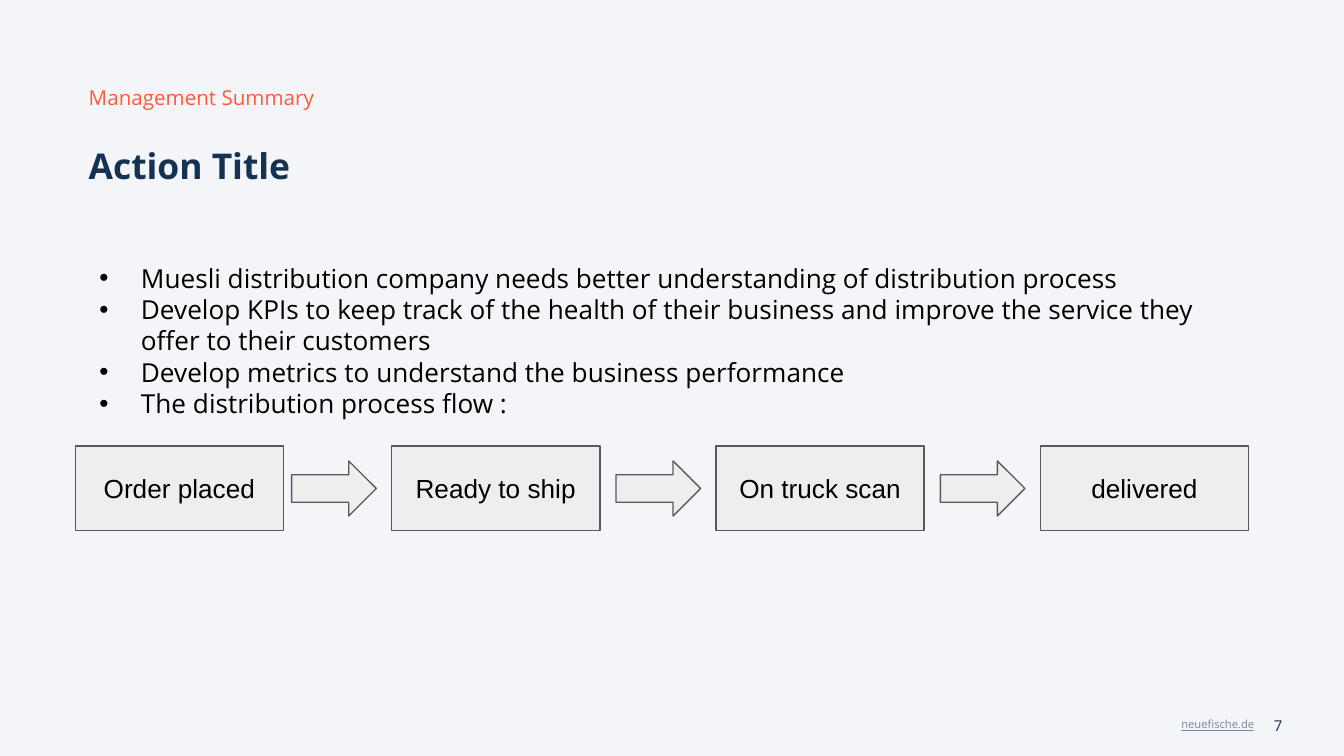
from lxml import etree
from pptx import Presentation
from pptx.dml.color import RGBColor
from pptx.enum.shapes import MSO_SHAPE
from pptx.enum.text import MSO_ANCHOR, PP_ALIGN
from pptx.oxml.ns import qn
from pptx.util import Inches, Pt

RECTANGLE, ARROW = MSO_SHAPE.RECTANGLE, MSO_SHAPE.RIGHT_ARROW
TOP, MIDDLE = MSO_ANCHOR.TOP, MSO_ANCHOR.MIDDLE
LEFT, CENTER = PP_ALIGN.LEFT, PP_ALIGN.CENTER

BACKGROUND = RGBColor(0xF3, 0xF5, 0xF9)
NAVY = RGBColor(0x16, 0x32, 0x51)
ORANGE = RGBColor(0xFF, 0x5A, 0x36)
SLATE = RGBColor(0x75, 0x89, 0xA2)
BLACK = RGBColor(0, 0, 0)
STEP_FILL = RGBColor(0xEE, 0xEE, 0xEE)
STEP_LINE = RGBColor(0x59, 0x59, 0x59)

SECTION = "Management Summary"
TITLE = "Action Title"
POINTS = [
    "Muesli distribution company needs better understanding of distribution process",
    "Develop KPIs to keep track of the health of their business and improve the service "
    "they offer to their customers",
    "Develop metrics to understand the business performance",
    "The distribution process flow :",
]
STEPS = ["Order placed", "Ready to ship", "On truck scan", "delivered"]
WEB_ADDRESS = "neuefische.de"
PAGE_NUMBER = "7"

SLIDE_WIDTH = 10
SLIDE_HEIGHT = SLIDE_WIDTH * 9 / 16
MARGIN = 0.64
BULLET_INDENT = 0.31
FLOW_LEFT, LAST_STEP_LEFT, FLOW_TOP = 0.5, 7.74, 3.32
FLOW_PITCH = (LAST_STEP_LEFT - FLOW_LEFT) / (len(STEPS) - 1)
FIRST_STEP_SHIFT = 0.06
STEP_WIDTH, STEP_HEIGHT = 1.55, 0.63
ARROW_OFFSET, ARROW_WIDTH, ARROW_HEIGHT = 1.67, 0.63, 0.41


def set_text(shape, lines, size, color, font="Open Sans", align=LEFT, anchor=TOP,
             insets=(0.02, 0.02), bold=False, underline=False, bullets=False):
    frame = shape.text_frame
    frame.word_wrap = True
    frame.vertical_anchor = anchor
    frame.margin_left = frame.margin_right = Inches(insets[0])
    frame.margin_top = frame.margin_bottom = Inches(insets[1])
    frame.text = "\n".join(lines)
    for para in frame.paragraphs:
        para.alignment = align
        if bullets:
            add_bullet(para)
        for span in para.runs:
            span.font.name = font
            span.font.size = Pt(size)
            span.font.color.rgb = color
            span.font.bold = bold
            span.font.underline = underline


def add_bullet(para):
    properties = para._p.get_or_add_pPr()
    properties.set("marL", str(Inches(BULLET_INDENT)))
    properties.set("indent", str(-Inches(BULLET_INDENT)))
    color = etree.SubElement(properties, qn("a:buClr"))
    etree.SubElement(color, qn("a:srgbClr"), val=str(BLACK))
    etree.SubElement(properties, qn("a:buFont"), typeface="Arial")
    etree.SubElement(properties, qn("a:buChar"), char="•")


def add_text(slide, area, lines, size, color, **style):
    box = slide.shapes.add_textbox(*map(Inches, area))
    set_text(box, lines, size, color, **style)


def add_flow_shape(slide, kind, *area):
    shape = slide.shapes.add_shape(kind, *map(Inches, area))
    shape.shadow.inherit = False
    shape.fill.solid()
    shape.fill.fore_color.rgb = STEP_FILL
    shape.line.color.rgb = STEP_LINE
    shape.line.width = Pt(0.75)
    return shape


def add_flow(slide):
    for index, step in enumerate(STEPS):
        left = FLOW_LEFT + index * FLOW_PITCH
        shift = FIRST_STEP_SHIFT if index == 0 else 0
        box = add_flow_shape(slide, RECTANGLE, left + shift, FLOW_TOP,
                             STEP_WIDTH, STEP_HEIGHT)
        set_text(box, [step], 14, BLACK, font="Arial", align=CENTER, anchor=MIDDLE,
                 insets=(0.1, 0.1))
        if index < len(STEPS) - 1:
            add_flow_shape(slide, ARROW, left + ARROW_OFFSET,
                           FLOW_TOP + (STEP_HEIGHT - ARROW_HEIGHT) / 2,
                           ARROW_WIDTH, ARROW_HEIGHT)


def main():
    deck = Presentation()
    deck.slide_width, deck.slide_height = Inches(SLIDE_WIDTH), Inches(SLIDE_HEIGHT)
    slide = deck.slides.add_slide(deck.slide_layouts[6])
    slide.background.fill.solid()
    slide.background.fill.fore_color.rgb = BACKGROUND

    add_text(slide, (8.79, 5.33, 0.56, 0.12), [WEB_ADDRESS], 6, SLATE,
             anchor=MIDDLE, insets=(0, 0), underline=True)
    add_text(slide, (9.37, 5.31, 0.28, 0.27), [PAGE_NUMBER], 8, NAVY, align=CENTER)
    add_text(slide, (MARGIN, 0.61, 6.48, 0.27), [SECTION], 11, ORANGE)
    add_text(slide, (MARGIN, 1.05, 9.02, 0.68), [TITLE], 19, NAVY, bold=True)
    add_text(slide, (MARGIN, 1.9, 8.58, 1.51), POINTS, 14, BLACK,
             insets=(0.1, 0.05), bullets=True)
    add_flow(slide)
    deck.save("out.pptx")


if __name__ == "__main__":
    main()
